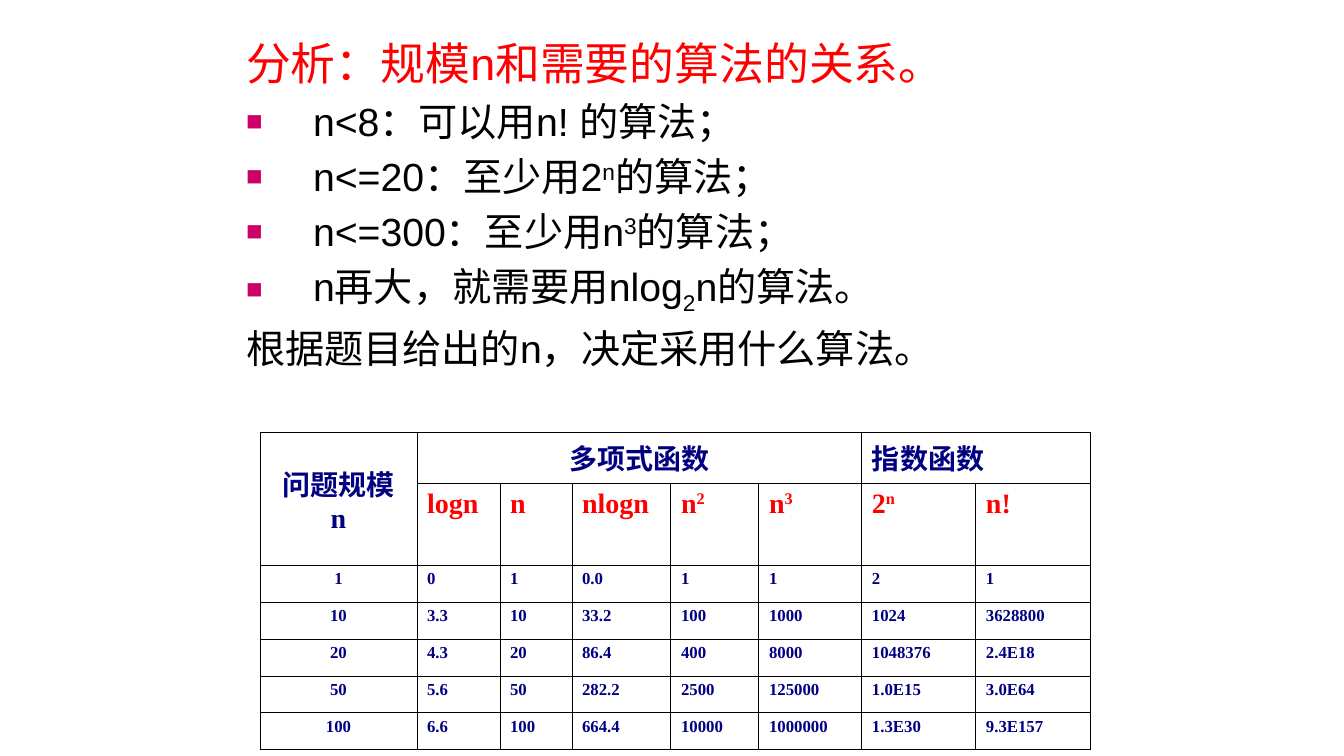
from lxml import etree
from pptx import Presentation
from pptx.dml.color import RGBColor
from pptx.enum.text import MSO_ANCHOR, MSO_AUTO_SIZE, PP_ALIGN
from pptx.oxml.ns import qn
from pptx.util import Pt

PX = 914400 / 100.8
LEFT, CENTER = PP_ALIGN.LEFT, PP_ALIGN.CENTER
RED = RGBColor(0xFF, 0x00, 0x00)
BLACK = RGBColor(0x00, 0x00, 0x00)
NAVY = RGBColor(0x00, 0x00, 0x80)
MAGENTA = RGBColor(0xCC, 0x00, 0x66)
SANS, SERIF, CHINESE = "Arial", "Times New Roman", "Noto Sans CJK SC"

# Content: every second part between bars is raised or lowered
HEADING = "分析：规模n和需要的算法的关系。"
RULES = [
    ("n<8：可以用n! 的算法；", 30),
    ("n<=20：至少用2|n|的算法；", 30),
    ("n<=300：至少用n|3|的算法；", 30),
    ("n再大，就需要用nlog|2|n的算法。", -25),
]
CONCLUSION = "根据题目给出的n，决定采用什么算法。"
GROUPS = [(1, 5, "多项式函数", CENTER), (6, 7, "指数函数", LEFT)]
FUNCTIONS = ["logn", "n", "nlogn", "n|2|", "n|3|", "2|n|", "n!"]
GROWTH = [
    ["1", "0", "1", "0.0", "1", "1", "2", "1"],
    ["10", "3.3", "10", "33.2", "100", "1000", "1024", "3628800"],
    ["20", "4.3", "20", "86.4", "400", "8000", "1048376", "2.4E18"],
    ["50", "5.6", "50", "282.2", "2500", "125000", "1.0E15", "3.0E64"],
    ["100", "6.6", "100", "664.4", "10000", "1000000", "1.3E30", "9.3E157"],
]
COLUMN_WIDTHS = [157, 83, 72, 99, 88, 103, 114, 115]
ROW_HEIGHTS = [51, 82] + [37] * len(GROWTH)


def px(length):
    return round(length * PX)


def write(paragraph, text, size, color, font=SANS, bold=False, align=LEFT, shift=30):
    paragraph.alignment = align
    for index, part in enumerate(text.split("|")):
        if not part:
            continue
        run = paragraph.add_run()
        run.text = part
        run.font.size, run.font.bold, run.font.name = Pt(size), bold, font
        run.font.color.rgb = color
        properties = run._r.get_or_add_rPr()
        if font == CHINESE:
            etree.SubElement(properties, qn("a:ea"), typeface=font)
        if index % 2:
            properties.set("baseline", str(shift * 1000))


def set_bullet(paragraph, bulleted):
    properties = paragraph._p.get_or_add_pPr()
    properties.set("marL", str(px(67)))
    properties.set("indent", str(px(-67)))
    if not bulleted:
        etree.SubElement(properties, qn("a:buNone"))
        return
    color = etree.SubElement(properties, qn("a:buClr"))
    etree.SubElement(color, qn("a:srgbClr"), val=str(MAGENTA))
    etree.SubElement(properties, qn("a:buSzPct"), val="70000")
    etree.SubElement(properties, qn("a:buFont"), typeface=SANS)
    etree.SubElement(properties, qn("a:buChar"), char="■")


def set_borders(cell):
    properties = cell._tc.get_or_add_tcPr()
    for index, side in enumerate(("lnL", "lnR", "lnT", "lnB")):
        line = etree.Element(qn("a:" + side), w=str(Pt(0.75)))
        fill = etree.SubElement(line, qn("a:solidFill"))
        etree.SubElement(fill, qn("a:srgbClr"), val=str(BLACK))
        properties.insert(index, line)


presentation = Presentation()
presentation.slide_width, presentation.slide_height = px(1344), px(756)
slide = presentation.slides.add_slide(presentation.slide_layouts[1])
title = slide.shapes.title
title._element.getparent().remove(title._element)

# Rules of thumb
body = slide.placeholders[1]
body.left, body.top, body.width, body.height = px(236), px(31), px(896), px(367)
frame = body.text_frame
frame.auto_size = MSO_AUTO_SIZE.NONE
lines = [(HEADING, 32, RED, 30, False)]
lines += [(text, 28, BLACK, shift, True) for text, shift in RULES]
lines += [(CONCLUSION, 28, BLACK, 30, False)]
for index, (text, size, color, shift, bulleted) in enumerate(lines):
    paragraph = frame.add_paragraph() if index else frame.paragraphs[0]
    write(paragraph, text, size, color, shift=shift)
    set_bullet(paragraph, bulleted)

# Growth table
table = slide.shapes.add_table(
    len(ROW_HEIGHTS), len(COLUMN_WIDTHS), px(260), px(432),
    px(sum(COLUMN_WIDTHS)), px(sum(ROW_HEIGHTS))).table
table.first_row = table.horz_banding = False
for column, width in zip(table.columns, COLUMN_WIDTHS):
    column.width = px(width)
for row, height in zip(table.rows, ROW_HEIGHTS):
    row.height = px(height)
for cell in table.iter_cells():
    cell.fill.background()
    set_borders(cell)

# Merged headings
corner = table.cell(0, 0)
corner.merge(table.cell(1, 0))
corner.vertical_anchor = MSO_ANCHOR.MIDDLE
write(corner.text_frame.paragraphs[0], "问题规模", 20, NAVY, CHINESE, True, CENTER)
write(corner.text_frame.add_paragraph(), "n", 20, NAVY, SERIF, True, CENTER)
for first, last, text, align in GROUPS:
    cell = table.cell(0, first)
    cell.merge(table.cell(0, last))
    write(cell.text_frame.paragraphs[0], text, 20, NAVY, CHINESE, True, align)

# Function names and values
for column, text in enumerate(FUNCTIONS, 1):
    write(table.cell(1, column).text_frame.paragraphs[0], text, 20, RED, SERIF, True)
for row, values in enumerate(GROWTH, 2):
    for column, text in enumerate(values):
        write(table.cell(row, column).text_frame.paragraphs[0], text, 12, NAVY,
              SERIF, True, LEFT if column else CENTER)

presentation.save("out.pptx")
